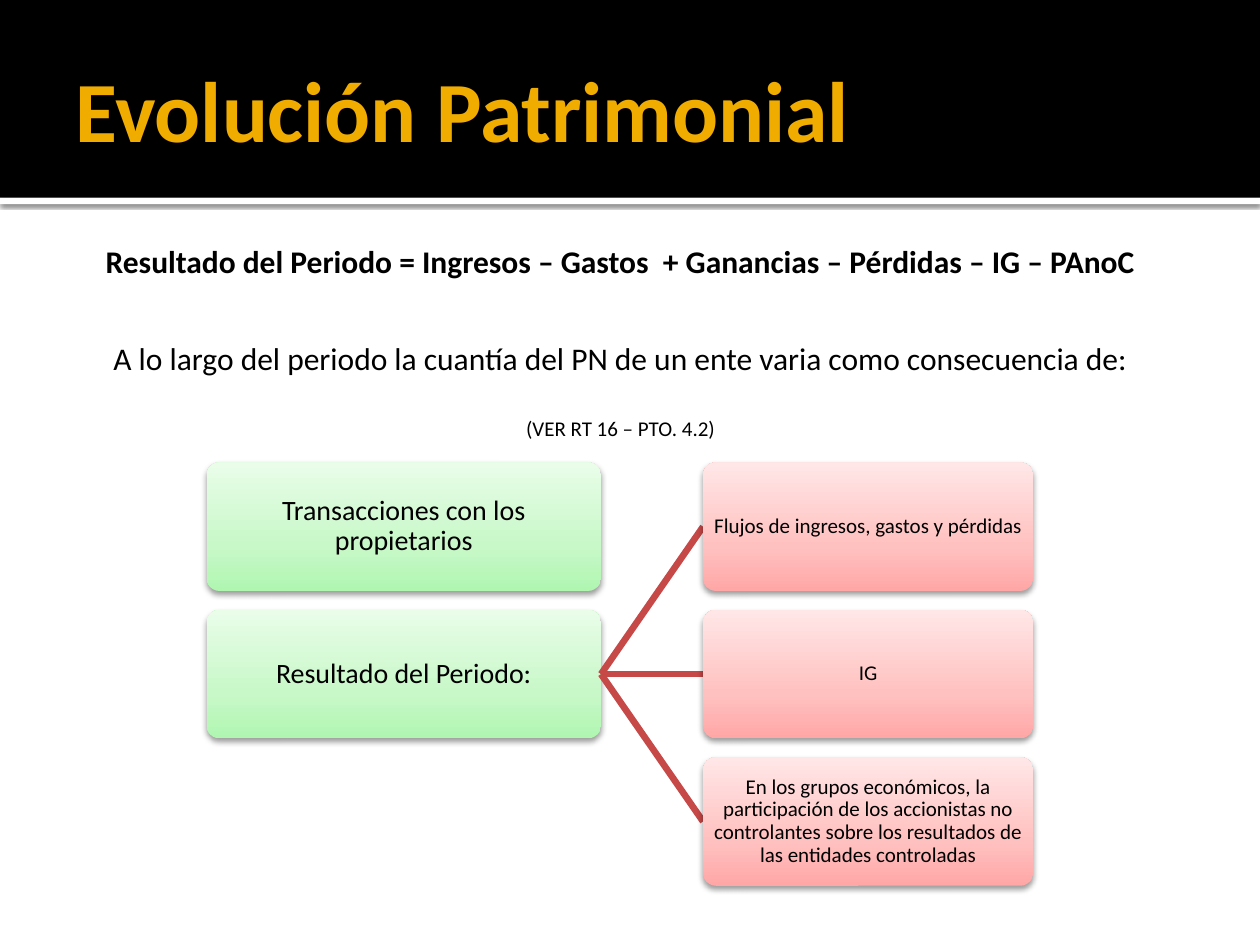
from dataclasses import dataclass
from lxml.etree import SubElement
from pptx import Presentation
from pptx.dml.color import RGBColor as RGB
from pptx.enum.shapes import MSO_CONNECTOR as Link, MSO_SHAPE as Kind
from pptx.enum.text import MSO_ANCHOR as Anchor, MSO_AUTO_SIZE as Fit, PP_ALIGN as Align
from pptx.oxml.ns import qn
from pptx.util import Inches, Pt


@dataclass(frozen=True)
class Theme:
    font: str = "Calibri"
    black: str = "000000"
    white: str = "FFFFFF"
    gold: str = "F0AD00"
    line: str = "C64847"
    green: tuple = ("B0F6B1", "C8F8C8", "E9FDE9")
    red: tuple = ("FFA7A7", "FFC1C0", "FFE7E7")
    head: int = 49
    body: int = 18
    cause: int = 16
    note: int = 12


T = Theme()

# Box grid: left column of causes, right column of parts
TOP, STEP, HIGH = 3.67, 1.17, 1.02
LEFT, WIDE = 1.64, 3.13
RIGHT, SLIM = 5.58, 2.62
CAUSES = ["Transacciones con los propietarios", "Resultado del Periodo:"]
PARTS = [
    "Flujos de ingresos, gastos y pérdidas",
    "IG",
    "En los grupos económicos, la participación de los accionistas no "
    "controlantes sobre los resultados de las entidades controladas",
]

# Text, size, bold, space before in points
LINES = [
    ("Resultado del Periodo = Ingresos – Gastos  + Ganancias – Pérdidas – IG – PAnoC",
     T.body, True, 0),
    ("A lo largo del periodo la cuantía del PN de un ente varia como consecuencia de:",
     T.body, False, 34),
    ("(VER RT 16 – PTO. 4.2)", T.note, False, 22),
]


def add_run(para, text, size, color=T.black, bold=False):
    run = para.add_run()
    run.text = text
    font = run.font
    font.name, font.size, font.bold = T.font, Pt(size), bold
    font.color.rgb = RGB.from_string(color)


def set_frame(frame, anchor, sides):
    frame.word_wrap = True
    frame.auto_size = Fit.NONE
    frame.vertical_anchor = anchor
    (frame.margin_left, frame.margin_top,
     frame.margin_right, frame.margin_bottom) = map(Inches, sides)


def add_shape(slide, kind, x, y, w, h):
    shape = slide.shapes.add_shape(kind, Inches(x), Inches(y), Inches(w), Inches(h))
    shape.shadow.inherit = False
    shape.line.fill.background()
    return shape


def add_shade(shape, alpha, blur, dist):
    effects = shape.element.spPr.find(qn("a:effectLst"))
    shade = SubElement(effects, qn("a:outerShdw"), blurRad=str(Pt(blur)),
                       dist=str(Pt(dist)), dir="5400000", rotWithShape="0")
    color = SubElement(shade, qn("a:srgbClr"), val=T.black)
    SubElement(color, qn("a:alpha"), val=str(alpha * 1000))


def add_blend(shape, tones):
    shape.fill.gradient()
    shape.fill.gradient_angle = 90
    stops = shape.element.spPr.find(".//" + qn("a:gsLst"))
    for stop in list(stops):
        stops.remove(stop)
    for pos, tone in zip((0, 35, 100), tones):
        stop = SubElement(stops, qn("a:gs"), pos=str(pos * 1000))
        SubElement(stop, qn("a:srgbClr"), val=tone)


def add_band(slide, y, h, color):
    band = add_shape(slide, Kind.RECTANGLE, 0, y, 10, h)
    band.fill.solid()
    band.fill.fore_color.rgb = RGB.from_string(color)
    return band


def add_title(slide, text):
    title = slide.shapes.title
    title.left, title.top, title.width, title.height = map(Inches, (0.5, 0.17, 9, 1.37))
    set_frame(title.text_frame, Anchor.MIDDLE, (0.1, 0.05, 0.05, 0.05))
    para = title.text_frame.paragraphs[0]
    para.alignment = Align.LEFT
    add_run(para, text, T.head, T.gold, True)
    # Bring the title in front of the band
    title.element.getparent().append(title.element)


def add_lines(slide):
    box = slide.shapes.add_textbox(*map(Inches, (0.47, 1.87, 8.91, 1.99)))
    frame = box.text_frame
    set_frame(frame, Anchor.TOP, (0.1, 0.05, 0.1, 0.05))
    for i, (text, size, bold, gap) in enumerate(LINES):
        para = frame.add_paragraph() if i else frame.paragraphs[0]
        para.alignment = Align.CENTER
        para.space_before = Pt(gap)
        add_run(para, text, size, bold=bold)


def add_column(slide, x, w, texts, size, tones):
    for row, text in enumerate(texts):
        box = add_shape(slide, Kind.ROUNDED_RECTANGLE, x, TOP + row * STEP, w, HIGH)
        box.adjustments[0] = 0.1
        add_blend(box, tones)
        add_shade(box, 38, 3.5, 2)
        set_frame(box.text_frame, Anchor.MIDDLE, (0.01,) * 4)
        para = box.text_frame.paragraphs[0]
        para.alignment = Align.CENTER
        para.line_spacing = 0.9
        add_run(para, text, size)


def add_link(slide, start, end):
    link = slide.shapes.add_connector(Link.STRAIGHT, *map(Inches, start + end))
    link.line.color.rgb = RGB.from_string(T.line)
    link.line.width = Pt(3.78)
    SubElement(link.element.spPr, qn("a:effectLst"))


def main():
    deck = Presentation()
    deck.slide_width, deck.slide_height = Inches(10), Inches(7.5)
    slide = deck.slides.add_slide(deck.slide_layouts[5])

    # Header
    add_shade(add_band(slide, 1.57, 0.05, T.white), 60, 2.5, 0.8)
    add_band(slide, 0, 1.57, T.black)
    add_title(slide, "Evolución Patrimonial")

    # Formula and lead-in
    add_lines(slide)

    # Causes, with the second one split into its parts
    add_column(slide, LEFT, WIDE, CAUSES, T.cause, T.green)
    mid = TOP + HIGH / 2
    for row in range(len(PARTS)):
        add_link(slide, (LEFT + WIDE, mid + STEP), (RIGHT, mid + row * STEP))
    add_column(slide, RIGHT, SLIM, PARTS, T.note, T.red)

    deck.save("out.pptx")


if __name__ == "__main__":
    main()
